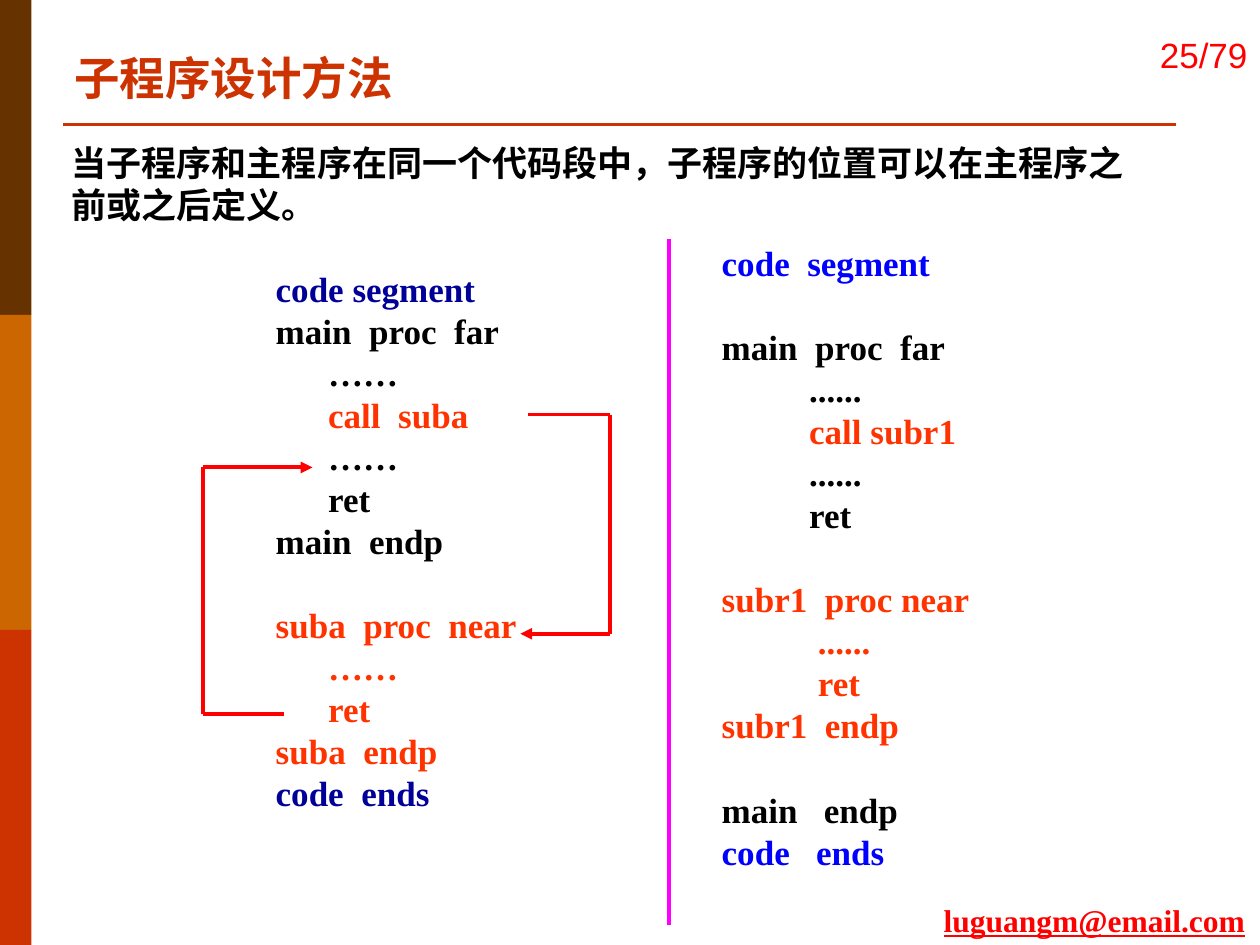
"""Build a slide on where a subroutine may be defined."""
import lxml.etree
import pptx
import pptx.dml.color
import pptx.enum.shapes
import pptx.enum.text
import pptx.oxml.ns
import pptx.util

RGB = pptx.dml.color.RGBColor
BROWN = RGB(0x66, 0x33, 0x00)
AMBER = RGB(0xCC, 0x66, 0x00)
RUST = RGB(0xCC, 0x33, 0x00)
RED = RGB(0xFF, 0x00, 0x00)
CORAL = RGB(0xFF, 0x33, 0x00)
PINK = RGB(0xFF, 0x00, 0xFF)
NAVY = RGB(0x00, 0x00, 0x99)
BLUE = RGB(0x00, 0x00, 0xFF)
BLACK = RGB(0x00, 0x00, 0x00)

COLS, ROWS = 100, 75
WIDE, HIGH = pptx.util.Inches(10), pptx.util.Inches(7.5)
SANS, SERIF = "Noto Sans CJK SC", "Times New Roman"
ALIGN = pptx.enum.text.PP_ALIGN
ANCHOR = pptx.enum.text.MSO_ANCHOR
LEADING = 1.2

LEFT = [
    ("code segment", NAVY),
    ("main  proc  far", BLACK),
    ("      ……", BLACK),
    ("      call  suba", CORAL),
    ("      ……", BLACK),
    ("      ret", BLACK),
    ("main  endp", BLACK),
    None,
    ("suba  proc  near", CORAL),
    ("      ……", CORAL),
    ("      ret", CORAL),
    ("suba  endp", CORAL),
    ("code  ends", NAVY),
]
RIGHT = [
    ("code  segment", BLUE),
    None,
    ("main  proc  far", BLACK),
    ("          ......", BLACK),
    ("          call subr1", CORAL),
    ("          ......", BLACK),
    ("          ret", BLACK),
    None,
    ("subr1  proc near", CORAL),
    ("           ......", CORAL),
    ("           ret", CORAL),
    ("subr1  endp", CORAL),
    None,
    ("main   endp", BLACK),
    ("code   ends", BLUE),
]


def grid(col, row):
    """Turn a grid column and row into slide lengths."""
    return round(WIDE * col / COLS), round(HIGH * row / ROWS)


def apply(item, values):
    """Set each format value on an item."""
    for name, value in values.items():
        setattr(item, name, value)


def write(box, lines, size, face=SERIF, align=ALIGN.LEFT,
          anchor=ANCHOR.TOP, wrap=True, **style):
    """Write coloured lines into a box, with None as a one-line gap."""
    frame = box.text_frame
    apply(frame, {"word_wrap": wrap, "vertical_anchor": anchor,
                  "auto_size": pptx.enum.text.MSO_AUTO_SIZE.NONE})
    pitch = pptx.util.Pt(size * LEADING)
    para, gap = None, 0
    for line in lines:
        if line is None:
            gap = pitch
            continue
        para = frame.add_paragraph() if para else frame.paragraphs[0]
        apply(para, {"alignment": align, "line_spacing": pitch,
                     "space_before": gap})
        gap = 0
        run = para.add_run()
        run.text, run.font.color.rgb = line
        apply(run.font, {"name": face, "size": pptx.util.Pt(size), **style})
        lxml.etree.SubElement(run._r.get_or_add_rPr(),
                              pptx.oxml.ns.qn("a:ea"), typeface=face)


def text(slide, place, span, lines, size, **style):
    """Add a text box on the grid."""
    box = slide.shapes.add_textbox(*grid(*place), *grid(*span))
    write(box, lines, size, **style)


def head(slide, place, span, words):
    """Move and format the title placeholder."""
    title = slide.shapes.title
    left, top = grid(*place)
    width, height = grid(*span)
    apply(title, {"left": left, "top": top, "width": width, "height": height})
    write(title, [(words, RUST)], 26, face=SANS, bold=True)


def band(slide, place, span, color):
    """Add a plain colour block."""
    kind = pptx.enum.shapes.MSO_SHAPE.RECTANGLE
    block = slide.shapes.add_shape(kind, *grid(*place), *grid(*span))
    block.shadow.inherit = False
    block.fill.solid()
    block.fill.fore_color.rgb = color
    block.line.fill.background()


def rule(slide, start, end, color, width, arrow=False):
    """Add a straight line, with an arrowhead if asked."""
    kind = pptx.enum.shapes.MSO_CONNECTOR.STRAIGHT
    line = slide.shapes.add_connector(kind, *grid(*start), *grid(*end))
    line.line.color.rgb = color
    line.line.width = pptx.util.Pt(width)
    props = line._element.spPr
    if arrow:
        lxml.etree.SubElement(props.get_or_add_ln(),
                              pptx.oxml.ns.qn("a:tailEnd"), type="triangle")
    lxml.etree.SubElement(props, pptx.oxml.ns.qn("a:effectLst"))


def route(slide, start, turn, end):
    """Draw a bracket of three lines that ends in an arrow."""
    stops = [start, (turn, start[1]), (turn, end[1]), end]
    for here, there in zip(stops, stops[1:]):
        rule(slide, here, there, RED, 2.25, there == end)


def main():
    """Build and save the slide."""
    deck = pptx.Presentation()
    deck.slide_width, deck.slide_height = WIDE, HIGH
    slide = deck.slides.add_slide(deck.slide_layouts[5])

    step = ROWS / 3
    for index, color in enumerate((BROWN, AMBER, RUST)):
        band(slide, (0, index * step), (2.5, step), color)
    rule(slide, (5, 9.9), (93.3, 9.9), RUST, 1.5)
    head(slide, (4.9, 3.5), (69.9, 5.4), "子程序设计方法")
    text(slide, (73.9, 71), (26.1, 4), [("luguangm@email.com", RED)], 18,
         wrap=False, bold=True, underline=True)
    text(slide, (87.8, 0.1), (12.2, 8.4), [("25/79", RED)], 20,
         face="Arial", align=ALIGN.RIGHT, anchor=ANCHOR.MIDDLE)
    text(slide, (4.7, 10.7), (88.2, 7.7),
         [("当子程序和主程序在同一个代码段中，子程序的位置可以在主程序之前或之后定义。", BLACK)],
         20, face=SANS, anchor=ANCHOR.MIDDLE, bold=True)

    text(slide, (20.9, 27.4), (23.6, 31), LEFT, 20, align=ALIGN.JUSTIFY,
         anchor=ANCHOR.MIDDLE, bold=True)
    route(slide, (22.5, 56.7), 16.1, (24.8, 37.1))
    route(slide, (41.9, 32.9), 48.4, (41.3, 50.3))

    text(slide, (56.3, 18.7), (36.6, 51), RIGHT, 20, bold=True)
    rule(slide, (53.1, 19), (53.1, 73.4), PINK, 2)
    deck.save("out.pptx")


if __name__ == "__main__":
    main()
